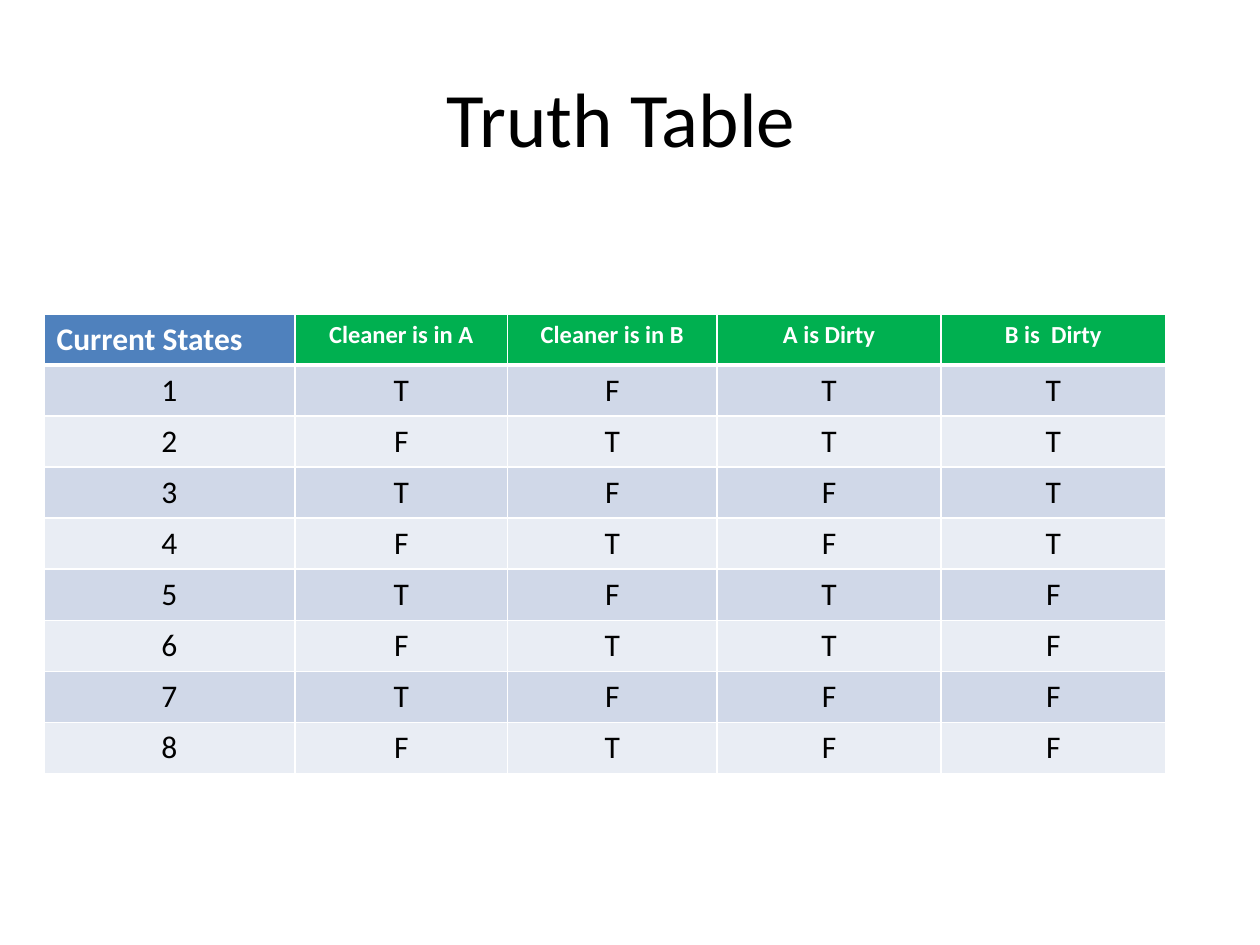
from dataclasses import dataclass

from lxml.etree import SubElement
from pptx import Presentation
from pptx.dml.color import RGBColor as Color
from pptx.enum.text import MSO_ANCHOR as Anchor, PP_ALIGN as Align
from pptx.oxml.ns import qn
from pptx.util import Inches, Pt


@dataclass(frozen=True)
class Theme:
    font: str = "Calibri"
    ink: str = "000000"
    paper: str = "FFFFFF"
    state_header: str = "4F81BD"
    fact_header: str = "00B050"
    bands: tuple = ("D0D8E8", "E9EDF4")
    title_size: int = 44
    body_size: int = 18
    fact_size: int = 14
    thin: int = 1
    thick: int = 3


THEME = Theme()
SLIDE_WIDTH, SLIDE_HEIGHT = Inches(10), Inches(7.5)
TITLE_BOX = (0.05, 0.04, 0.9, 0.167)
TABLE_BOX = (0.035, 0.332, 0.89, 0.486)
COLUMN_SHARES = (1.99, 1.69, 1.66, 1.78, 1.78)
HEADERS = ("Current States", "Cleaner is in A", "Cleaner is in B", "A is Dirty", "B is  Dirty")
STATE_COUNT = 8


def place(box):
    left, top, width, height = box
    return (round(left * SLIDE_WIDTH), round(top * SLIDE_HEIGHT),
            round(width * SLIDE_WIDTH), round(height * SLIDE_HEIGHT))


def set_attributes(target, values):
    for name, value in values.items():
        setattr(target, name, value)


def write(text_frame, text, size, color, bold=False, align=Align.CENTER):
    paragraph = text_frame.paragraphs[0]
    paragraph.alignment = align
    run = paragraph.add_run()
    run.text = text
    set_attributes(run.font, {"name": THEME.font, "size": Pt(size), "bold": bold})
    run.font.color.rgb = Color.from_string(color)


def add_borders(cell, widths):
    properties = cell._tc.get_or_add_tcPr()
    for side, width in widths.items():
        line = SubElement(properties, qn(f"a:ln{side}"), w=str(Pt(width)))
        fill = SubElement(line, qn("a:solidFill"))
        SubElement(fill, qn("a:srgbClr"), val=THEME.paper)


def truth_rows():
    for state in range(STATE_COUNT):
        in_b, a_clean, b_clean = (state >> bit & 1 for bit in range(3))
        facts = (not in_b, in_b, not a_clean, not b_clean)
        yield (str(state + 1), *("T" if fact else "F" for fact in facts))


def cell_style(row, column):
    if row:
        return THEME.bands[(row - 1) % 2], {"size": THEME.body_size, "color": THEME.ink}
    header = {"color": THEME.paper, "bold": True}
    if column:
        return THEME.fact_header, header | {"size": THEME.fact_size}
    return THEME.state_header, header | {"size": THEME.body_size, "align": Align.LEFT}


def add_title(slide, box):
    title = slide.shapes.title
    set_attributes(title, dict(zip(("left", "top", "width", "height"), place(box))))
    set_attributes(title.text_frame, {"word_wrap": True, "vertical_anchor": Anchor.MIDDLE})
    write(title.text_frame, "Truth Table ", THEME.title_size, THEME.ink)


def add_truth_table(slide, box):
    rows = [HEADERS, *truth_rows()]
    left, top, width, height = place(box)
    table = slide.shapes.add_table(len(rows), len(HEADERS), left, top, width, height).table
    for column, share in zip(table.columns, COLUMN_SHARES):
        column.width = round(width * share / sum(COLUMN_SHARES))
    for row, texts in enumerate(rows):
        table.rows[row].height = height // len(rows)
        for column, text in enumerate(texts):
            cell = table.cell(row, column)
            fill, style = cell_style(row, column)
            add_borders(cell, {"L": THEME.thin, "R": THEME.thin,
                               "T": THEME.thick if row == 1 else THEME.thin,
                               "B": THEME.thin if row else THEME.thick})
            cell.fill.solid()
            cell.fill.fore_color.rgb = Color.from_string(fill)
            write(cell.text_frame, text, **style)


def main():
    presentation = Presentation()
    set_attributes(presentation, {"slide_width": SLIDE_WIDTH, "slide_height": SLIDE_HEIGHT})
    slide = presentation.slides.add_slide(presentation.slide_layouts.get_by_name("Title Only"))
    add_title(slide, TITLE_BOX)
    add_truth_table(slide, TABLE_BOX)
    presentation.save("out.pptx")


if __name__ == "__main__":
    main()
